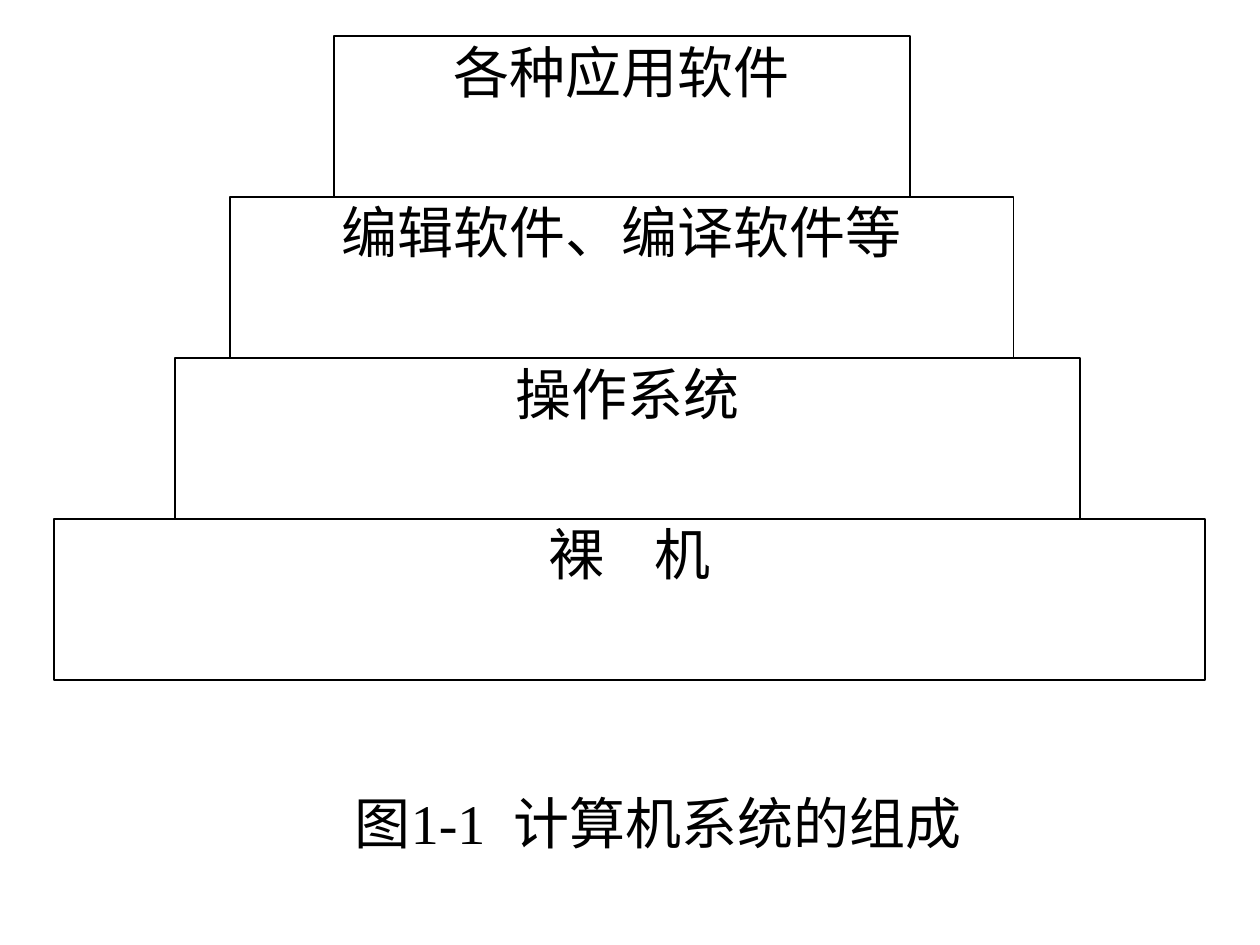
from pptx import Presentation
from pptx.dml.color import RGBColor
from pptx.enum.shapes import MSO_SHAPE
from pptx.enum.text import MSO_ANCHOR, PP_ALIGN
from pptx.util import Emu, Pt

RECTANGLE = MSO_SHAPE.RECTANGLE
TOP, MIDDLE = MSO_ANCHOR.TOP, MSO_ANCHOR.MIDDLE
CENTER = PP_ALIGN.CENTER
BLACK = RGBColor(0, 0, 0)
PX = 914400 // 126  # EMU per pixel


def write(shape, text, *, anchor=TOP, wrap=True, size=32):
    frame = shape.text_frame
    frame.word_wrap = wrap
    frame.vertical_anchor = anchor
    frame.margin_left = frame.margin_right = Emu(2 * PX)
    frame.margin_top = frame.margin_bottom = Emu(1 * PX)
    para = frame.paragraphs[0]
    para.alignment = CENTER
    span = para.add_run()
    span.text = text
    span.font.name = "Times New Roman"
    span.font.size = Pt(size)
    span.font.color.rgb = BLACK


deck = Presentation()
deck.slide_width = Emu(1260 * PX)
deck.slide_height = Emu(945 * PX)
page = deck.slides.add_slide(deck.slide_layouts[6])

# System layers from the top down: text, left, width
LAYERS = [
    ("各种应用软件", 334, 576),
    ("编辑软件、编译软件等", 230, 784),
    ("操作系统", 175, 905),
    ("裸    机", 54, 1151),
]
LAYER_TOP, LAYER_HEIGHT = 36, 161

for row, (text, left, width) in enumerate(LAYERS):
    top = LAYER_TOP + row * LAYER_HEIGHT
    layer = page.shapes.add_shape(
        RECTANGLE, Emu(left * PX), Emu(top * PX), Emu(width * PX), Emu(LAYER_HEIGHT * PX))
    layer.shadow.inherit = False
    layer.fill.background()
    layer.line.color.rgb = BLACK
    layer.line.width = Pt(0.75)
    write(layer, text)

caption = page.shapes.add_textbox(Emu(329 * PX), Emu(782 * PX), Emu(659 * PX), Emu(81 * PX))
write(caption, "图1-1  计算机系统的组成", anchor=MIDDLE, wrap=False)

deck.save("out.pptx")
